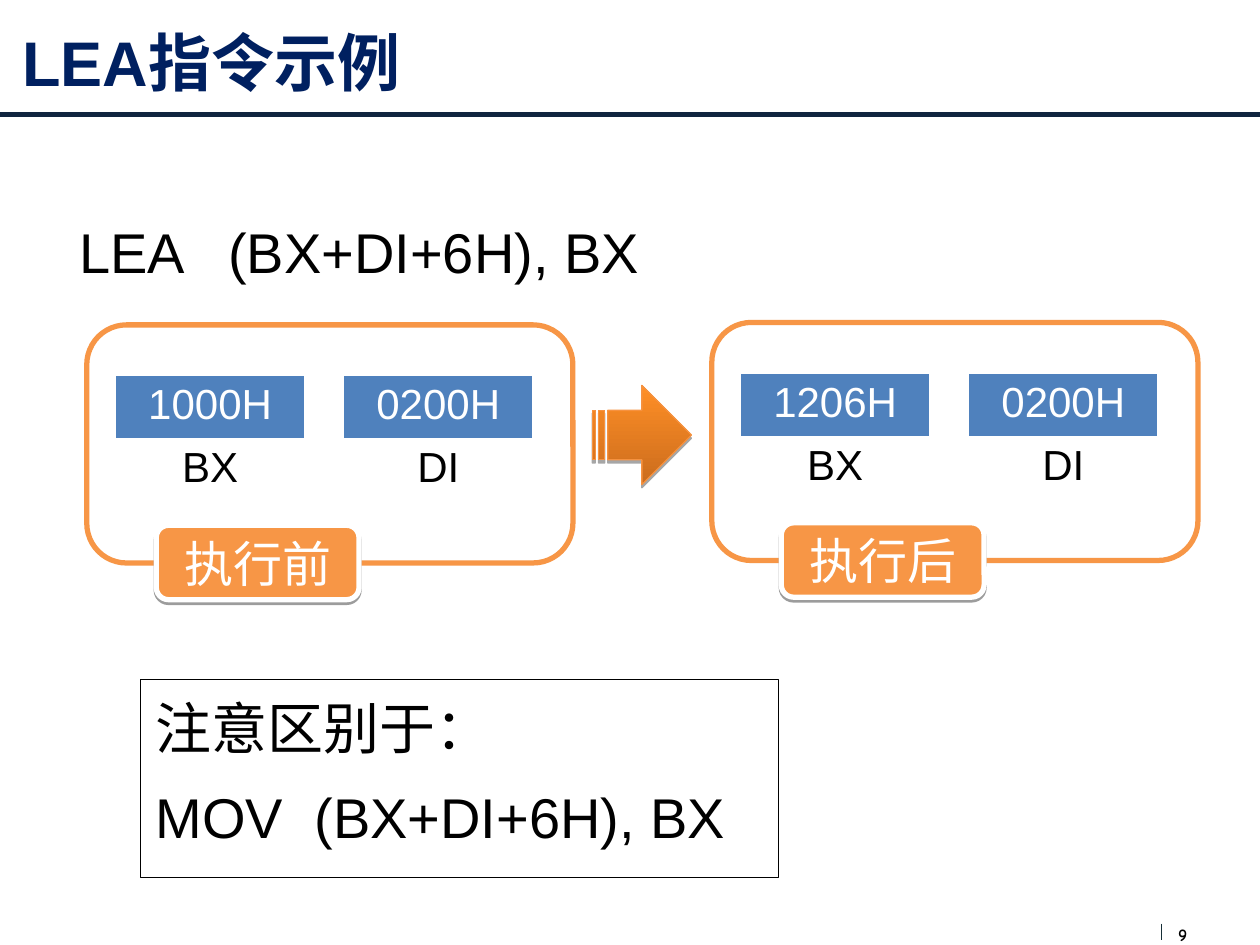
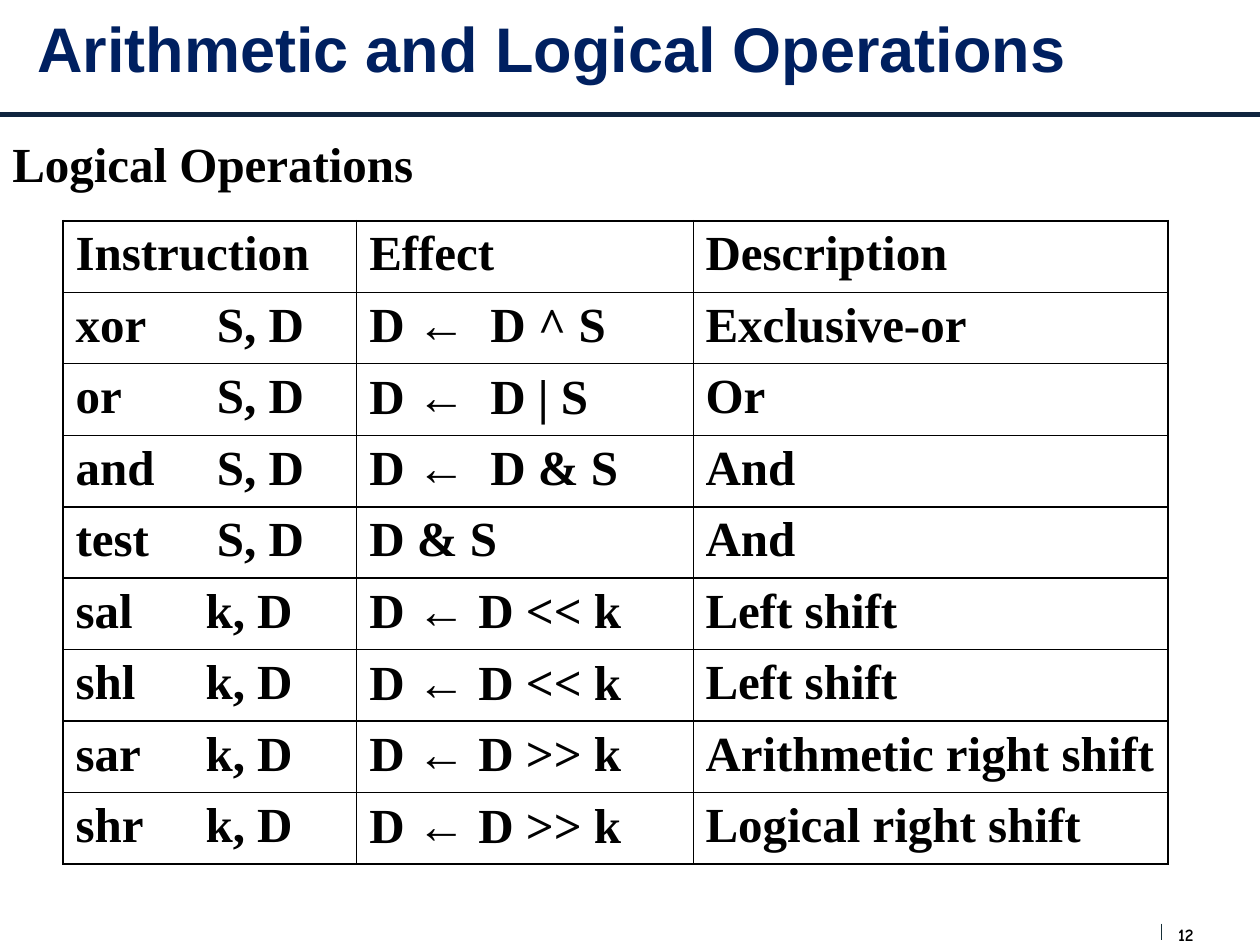
"""Build two slides on LEA and on logical operations."""
from lxml import etree
from pptx import Presentation
from pptx.dml.color import RGBColor
from pptx.enum.shapes import MSO_CONNECTOR, MSO_SHAPE
from pptx.enum.text import MSO_ANCHOR, PP_ALIGN
from pptx.oxml.ns import qn
from pptx.util import Cm, Pt

LINE = MSO_CONNECTOR.STRAIGHT
RECT, ROUNDED = MSO_SHAPE.RECTANGLE, MSO_SHAPE.ROUNDED_RECTANGLE
STRIPED_ARROW = MSO_SHAPE.STRIPED_RIGHT_ARROW
MIDDLE, CENTER = MSO_ANCHOR.MIDDLE, PP_ALIGN.CENTER

BLACK = RGBColor(0x00, 0x00, 0x00)
WHITE = RGBColor(0xFF, 0xFF, 0xFF)
NAVY = RGBColor(0x00, 0x20, 0x60)
RULE = RGBColor(0x10, 0x25, 0x3F)
TICK = RGBColor(0x17, 0x2F, 0x37)
BLUE = RGBColor(0x4F, 0x81, 0xBD)
ORANGE = RGBColor(0xF7, 0x96, 0x46)
ARROW_LINE = RGBColor(0xF6, 0x92, 0x40)
ARROW_DARK = RGBColor(0xCB, 0x6C, 0x1D)
ARROW_LIGHT = RGBColor(0xFF, 0x8F, 0x26)
SANS, SERIF, COMIC, CJK = "Arial", "Times New Roman", "Comic Neue", "Noto Sans CJK SC"
THIN, THICK = 0.45, 1.08

LEA_LINE = "LEA\t(BX+DI+6H), BX"
NOTE_LINES = ["注意区别于：", "MOV\t(BX+DI+6H), BX"]
STATES = [
    ("执行前", (1.75, 6.55), [("1000H", "BX"), ("0200H", "DI")]),
    ("执行后", (14.35, 6.5), [("1206H", "BX"), ("0200H", "DI")]),
]

HEADER = ("Instruction", "Effect", "Description")
OPERATIONS = [
    ("xor", "S, D", "D ←\tD ^ S", "Exclusive-or"),
    ("or", "S, D", "D ←\tD | S", "Or"),
    ("and", "S, D", "D ←\tD & S", "And"),
    ("test", "S, D", "D & S", "And"),
    ("sal", "k, D", "D ←\tD << k", "Left shift"),
    ("shl", "k, D", "D ←\tD << k", "Left shift"),
    ("sar", "k, D", "D ←\tD >> k", "Arithmetic right shift"),
    ("shr", "k, D", "D ←\tD >> k", "Logical right shift"),
]
TAB_STOPS = {"S, D": (2.85, 2.44), "k, D": (2.62, 2.2)}
COLUMN_WIDTHS = (5.92, 6.78, 9.58)
ROW_HEIGHT = 1.44
FIRST_THICK_RULE = 4


def write(tf, lines, size, font=SANS, color=BLACK, bold=False, align=None,
          before=None, after=None, tab=None):
    for i, line in enumerate(lines):
        p = tf.add_paragraph() if i else tf.paragraphs[0]
        p.alignment = align
        if before:
            p.space_before = Pt(before)
        if after:
            p.space_after = Pt(after)
        p.font.size, p.font.name, p.font.bold = Pt(size), font, bold
        p.font.color.rgb = color
        props = p.font._element
        etree.SubElement(props, qn("a:ea"), typeface=CJK)
        if tab:
            stops = etree.Element(qn("a:tabLst"))
            etree.SubElement(stops, qn("a:tab"), pos=str(Cm(tab)), algn="l")
            props.addprevious(stops)
        head, arrow, tail = line.partition("←")
        for part in filter(None, (head, arrow, tail)):
            r = p.add_run()
            r.text = part
            if part == "←":
                r.font.name = SANS


def add_text(s, box, lines, size, anchor=None, inset=None, **style):
    tf = s.shapes.add_textbox(*map(Cm, box)).text_frame
    tf.word_wrap = True
    tf.vertical_anchor = anchor
    if inset is not None:
        tf.margin_left = tf.margin_right = tf.margin_top = tf.margin_bottom = Cm(inset)
    write(tf, lines, size, **style)


def add_line(s, start, end, color, width):
    c = s.shapes.add_connector(LINE, *map(Cm, start + end))
    c.line.color.rgb, c.line.width = color, Pt(width)
    etree.SubElement(c._element.spPr, qn("a:effectLst"))


def add_box(s, kind, box, line, width, fill=None):
    sp = s.shapes.add_shape(kind, *map(Cm, box))
    sp.shadow.inherit = False
    sp.line.color.rgb, sp.line.width = line, Pt(width)
    if fill is None:
        sp.fill.background()
    else:
        sp.fill.solid()
        sp.fill.fore_color.rgb = fill
    return sp


def drop_shadow(sp, distance, opacity):
    effects = sp._element.spPr.find(qn("a:effectLst"))
    shadow = etree.SubElement(effects, qn("a:outerShdw"), blurRad="0",
                              dist=str(Pt(distance)), dir="5400000", rotWithShape="0")
    color = etree.SubElement(shadow, qn("a:srgbClr"), val=str(BLACK))
    etree.SubElement(color, qn("a:alpha"), val=str(opacity * 1000))


def set_cell(cell, fill, color, widths):
    props = cell._tc.get_or_add_tcPr()
    for side, width in zip("LRTB", widths):
        ln = etree.SubElement(props, qn(f"a:ln{side}"), w=str(Pt(width)))
        paint = etree.SubElement(ln, qn("a:solidFill"))
        etree.SubElement(paint, qn("a:srgbClr"), val=str(color))
    if fill is None:
        cell.fill.background()
    else:
        cell.fill.solid()
        cell.fill.fore_color.rgb = fill


def add_grid(s, left, top, widths, row_count, row_height):
    table = s.shapes.add_table(row_count, len(widths), Cm(left), Cm(top),
                               Cm(sum(widths)), Cm(row_height * row_count)).table
    table.first_row = table.horz_banding = False
    for column, width in zip(table.columns, widths):
        column.width = Cm(width)
    return table


def add_slide(prs, title, title_box, number):
    s = prs.slides.add_slide(prs.slide_layouts[6])
    add_line(s, (0, 2.31), (25.4, 2.31), RULE, 3)
    add_text(s, (23.75, 18.62, 0.86, 0.43), [number], 10, inset=0, font=COMIC, bold=True)
    add_line(s, (23.42, 18.62), (23.42, 18.95), TICK, 0.75)
    add_text(s, title_box, [title], 36, anchor=MIDDLE, color=NAVY, bold=True)
    return s


def add_state(s, label, origin, registers):
    left, top = origin
    for i, (value, name) in enumerate(registers):
        table = add_grid(s, left + 0.58 + 4.6 * i, top + 1.02, [3.81], 2, 1.27)
        for row, (text, fill, color) in enumerate([(value, BLUE, WHITE), (name, None, BLACK)]):
            cell = table.cell(row, 0)
            write(cell.text_frame, [text], 24, color=color, align=CENTER)
            set_cell(cell, fill, WHITE, [THIN] * 4)
    add_box(s, ROUNDED, (left, top, 9.8, 4.8), ORANGE, 3)
    badge = add_box(s, ROUNDED, (left + 1.4, top + 4.04, 4.09, 1.5), WHITE, 3, ORANGE)
    drop_shadow(badge, 1.6, 38)
    badge.text_frame.vertical_anchor = MIDDLE
    write(badge.text_frame, [label], 28, font=CJK, color=WHITE, align=CENTER)


def build_lea(prs):
    s = add_slide(prs, "LEA指令示例", (0.2, -0.13, 24.2, 2.72), "9")
    add_text(s, (1.35, 4.27, 20.7, 2), [LEA_LINE], 32, before=8, tab=3)
    for state in STATES:
        add_state(s, *state)

    arrow = add_box(s, STRIPED_ARROW, (11.94, 7.77, 2, 2), ARROW_LINE, 0.75)
    arrow.fill.gradient()
    arrow.fill.gradient_angle = 90
    for stop, color in zip(arrow.fill.gradient_stops, (ARROW_DARK, ARROW_LIGHT)):
        stop.color.rgb = color
    drop_shadow(arrow, 1.8, 35)

    note = add_box(s, RECT, (2.84, 13.69, 12.85, 4.01), BLACK, 0.5, WHITE)
    tf = note.text_frame
    tf.margin_left = tf.margin_right = tf.margin_top = tf.margin_bottom = Cm(0.3)
    tf.vertical_anchor = MSO_ANCHOR.TOP
    write(tf, NOTE_LINES, 32, align=PP_ALIGN.LEFT, after=12, tab=3.2)


def build_operations(prs):
    s = add_slide(prs, "Arithmetic and Logical Operations", (0.5, 0, 23.5, 1.9), "12")
    rows = [(HEADER, (None, None, None))]
    for name, operands, effect, description in OPERATIONS:
        rows.append(((f"{name}\t{operands}", effect, description),
                     TAB_STOPS[operands] + (None,)))
    rules = [THICK if i == 0 or i >= FIRST_THICK_RULE else THIN
             for i in range(len(rows) + 1)]
    sides = [THICK, THIN, THIN, THICK]
    table = add_grid(s, 1.27, 4.45, COLUMN_WIDTHS, len(rows), ROW_HEIGHT)
    for i, (texts, tabs) in enumerate(rows):
        for j, (text, tab) in enumerate(zip(texts, tabs)):
            cell = table.cell(i, j)
            write(cell.text_frame, [text], 28, font=SERIF, bold=True, before=7, tab=tab)
            set_cell(cell, None, BLACK, sides[j:j + 2] + rules[i:i + 2])
    add_text(s, (0, 2.34, 23.5, 1.9), ["Logical Operations"], 28, anchor=MIDDLE,
             font=SERIF, bold=True, before=7)


def main():
    prs = Presentation()
    prs.slide_width, prs.slide_height = Cm(25.4), Cm(19.05)
    build_lea(prs)
    build_operations(prs)
    prs.save("out.pptx")


if __name__ == "__main__":
    main()
